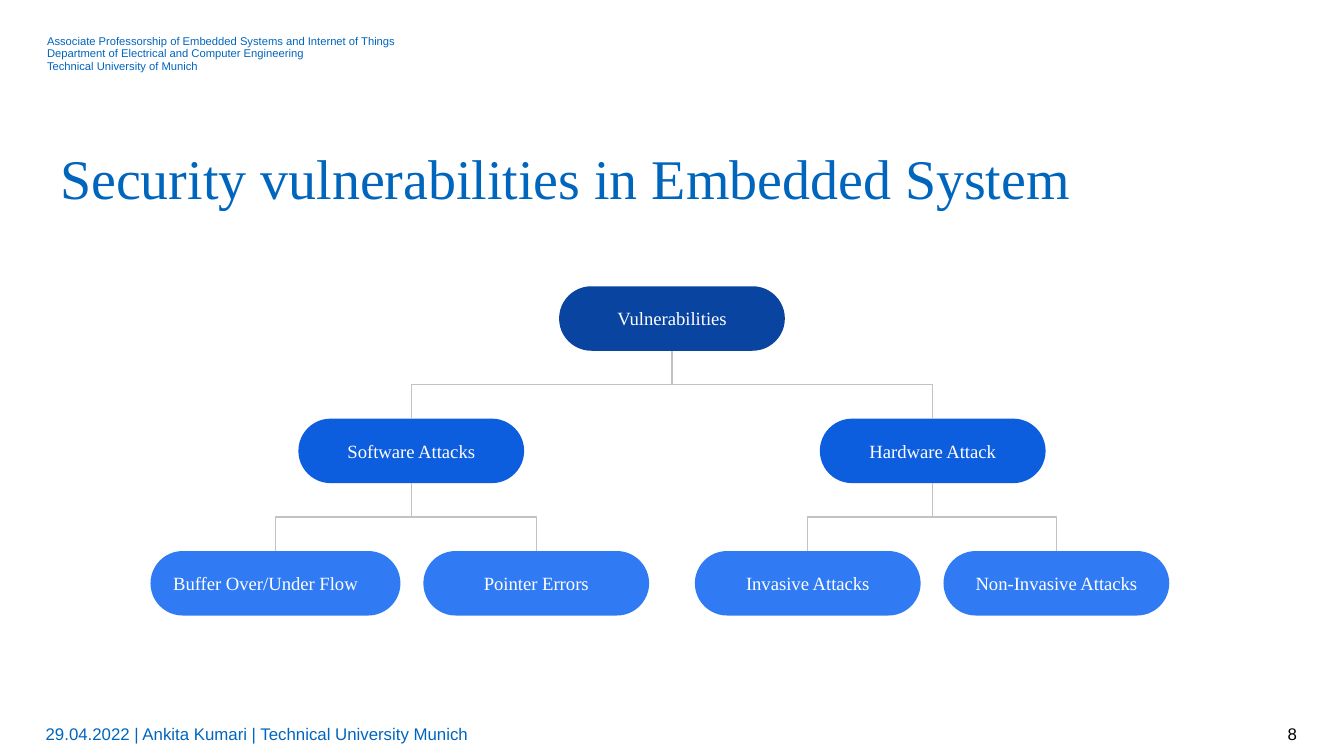
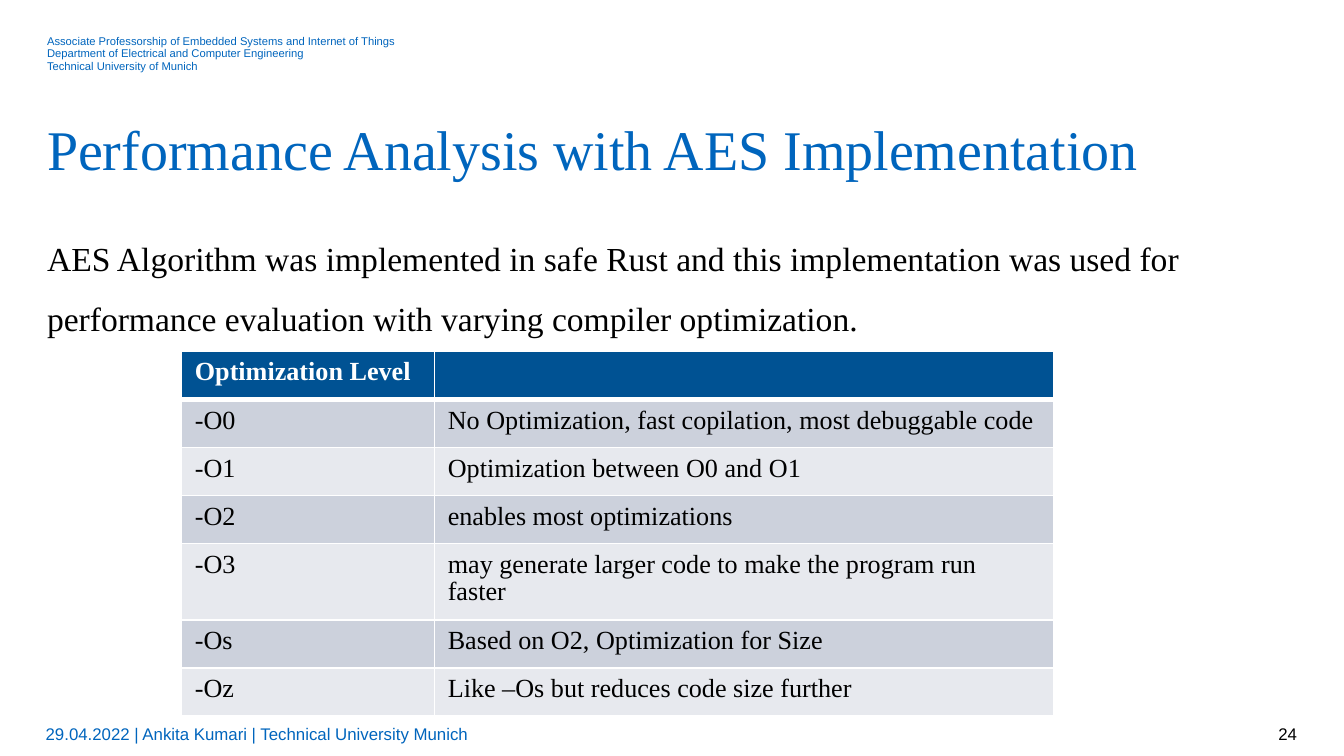
from dataclasses import dataclass

from lxml.etree import SubElement
from pptx import Presentation
from pptx.dml.color import RGBColor
from pptx.enum.shapes import MSO_CONNECTOR, MSO_SHAPE
from pptx.enum.text import MSO_ANCHOR, PP_ALIGN
from pptx.oxml.ns import qn
from pptx.util import Inches, Pt

SLIDE_WIDTH = 10
SLIDE_HEIGHT = SLIDE_WIDTH * 9 / 16


@dataclass(frozen=True)
class Theme:
    sans: str = "Arial"
    serif: str = "Times New Roman"
    accent: str = "0065BD"
    ink: str = "000000"
    white: str = "FFFFFF"
    connector: str = "C2C2C2"
    levels: tuple = ("0944A1", "0D5DDF", "307BF3")
    table_head: str = "005293"
    table_bands: tuple = ("CCD1DC", "E7E9EE")
    header_size: float = 6
    footer_size: float = 9
    node_size: float = 10
    table_size: float = 14
    body_size: float = 18
    title_size: float = 30


@dataclass(frozen=True)
class Box:
    left: float
    top: float
    width: float
    height: float

    @property
    def inches(self):
        return tuple(Inches(n) for n in (self.left, self.top, self.width, self.height))


@dataclass(frozen=True)
class Node:
    label: str
    offset: float = 0  # centre, measured from the parent's centre
    children: tuple = ()
    width: float = 1.68
    align: PP_ALIGN = PP_ALIGN.CENTER


THEME = Theme()
MARGIN = 0.35
CONTENT_WIDTH = 9.31
HEADER_BOX = Box(MARGIN, 0.26, 8.42, 0.29)
TITLE_BOX = Box(MARGIN, 0.82, CONTENT_WIDTH, 0.5)
FOOTER_BOX = Box(0.34, 5.31, CONTENT_WIDTH, 0.3)
BODY_BOX = Box(MARGIN, 1.62, CONTENT_WIDTH, 3.79)
TREE_BOX = Box(1.12, 2.13, 7.76, 2.45)
TABLE_BOX = Box(1.35, 2.61, 6.49, 2.5)

HEADER = (
    "Associate Professorship of Embedded Systems and Internet of Things",
    "Department of Electrical and Computer Engineering",
    "Technical University of Munich",
)
FOOTER = "29.04.2022 | Ankita Kumari | Technical University Munich"

VULNERABILITIES = Node("Vulnerabilities", children=(
    Node("Software Attacks", -1.94, (
        Node("Buffer Over/Under Flow", -1.01, width=1.86, align=PP_ALIGN.LEFT),
        Node("Pointer Errors", 0.93),
    )),
    Node("Hardware Attack", 1.94, (
        Node("Invasive Attacks", -0.93),
        Node("Non-Invasive Attacks", 0.92),
    )),
))

OPTIMIZATION_LEVELS = (
    ("Optimization Level", ""),
    ("-O0", "No Optimization, fast copilation, most debuggable code"),
    ("-O1", "Optimization between O0 and O1"),
    ("-O2", "enables most optimizations"),
    ("-O3", "may generate larger code to make the program run faster"),
    ("-Os", "Based on O2, Optimization for Size"),
    ("-Oz", "Like –Os but reduces code size further"),
)


def rgb(color):
    return RGBColor.from_string(color)


def write(frame, lines, font, size, color, align=PP_ALIGN.LEFT, spacing=1.0, bold=False):
    """Fill a text frame with one paragraph per line."""
    frame.word_wrap = True
    for index, line in enumerate(lines):
        paragraph = frame.add_paragraph() if index else frame.paragraphs[0]
        paragraph.alignment = align
        paragraph.line_spacing = spacing
        paragraph.font.name = font
        paragraph.font.size = Pt(size)
        paragraph.font.bold = bold
        paragraph.font.color.rgb = rgb(color)
        if line:
            paragraph.text = line
        else:  # an empty paragraph takes its height from its end mark
            end = SubElement(paragraph._p, qn("a:endParaRPr"), sz=str(size * 100))
            SubElement(end, qn("a:latin"), typeface=font)


def add_text(slide, box, lines, *style, inset=0, anchor=MSO_ANCHOR.TOP, **options):
    frame = slide.shapes.add_textbox(*box.inches).text_frame
    frame.margin_left = Inches(inset)
    frame.margin_right = frame.margin_top = frame.margin_bottom = 0
    frame.vertical_anchor = anchor
    write(frame, lines, *style, **options)


# Shared header, title and footer
def add_frame(presentation, title, number, spacing, inset=0):
    slide = presentation.slides.add_slide(presentation.slide_layouts[6])
    add_text(slide, HEADER_BOX, HEADER, THEME.sans, THEME.header_size, THEME.accent,
             spacing=0.94)
    add_text(slide, TITLE_BOX, [title], THEME.serif, THEME.title_size, THEME.accent,
             spacing=spacing, inset=inset)

    text_width = 0.76 * FOOTER_BOX.width
    text_box = Box(FOOTER_BOX.left, FOOTER_BOX.top, text_width, FOOTER_BOX.height)
    number_box = Box(FOOTER_BOX.left + text_width, FOOTER_BOX.top,
                     FOOTER_BOX.width - text_width, FOOTER_BOX.height)
    add_text(slide, text_box, [FOOTER], THEME.sans, THEME.footer_size, THEME.accent,
             anchor=MSO_ANCHOR.MIDDLE)
    add_text(slide, number_box, [str(number)], THEME.sans, THEME.footer_size, THEME.ink,
             anchor=MSO_ANCHOR.MIDDLE, align=PP_ALIGN.RIGHT)
    return slide


# Tree of rounded nodes
def add_branch(slide, parent, child):
    """Elbow from the parent's bottom to the child's top, bending halfway down."""
    start_x, start_y = parent.left + parent.width // 2, parent.top + parent.height
    end_x, end_y = child.left + child.width // 2, child.top
    connector = slide.shapes.add_connector(MSO_CONNECTOR.ELBOW, start_x, start_y, end_x, end_y)
    connector.begin_connect(parent, 2)
    connector.end_connect(child, 0)

    # A quarter turn makes the elbow leave vertically, so its sides swap
    run, drop = abs(end_x - start_x), end_y - start_y
    connector.left = (start_x + end_x - drop) // 2
    connector.top = (start_y + end_y - run) // 2
    connector.width, connector.height = drop, run
    goes_right = end_x > start_x
    transform = connector._element.spPr.xfrm
    transform.set("flipH", "1" if goes_right else "0")
    transform.set("rot", str((270 if goes_right else 90) * 60000))

    connector.line.color.rgb = rgb(THEME.connector)
    connector.line.width = Pt(0.75)
    SubElement(connector._element.spPr, qn("a:effectLst"))


def add_node(slide, box, node, centre, level=0):
    height = 0.48
    pitch = (box.height - height) / (len(THEME.levels) - 1)
    place = Box(centre - node.width / 2, box.top + level * pitch, node.width, height)
    shape = slide.shapes.add_shape(MSO_SHAPE.ROUNDED_RECTANGLE, *place.inches)
    shape.adjustments[0] = 0.5
    shape.shadow.inherit = False
    shape.fill.solid()
    shape.fill.fore_color.rgb = rgb(THEME.levels[level])
    shape.line.fill.background()
    frame = shape.text_frame
    frame.margin_left = frame.margin_right = Inches(0.1)
    frame.margin_top = frame.margin_bottom = Inches(0.1)
    frame.vertical_anchor = MSO_ANCHOR.MIDDLE
    write(frame, [node.label], THEME.serif, THEME.node_size, THEME.white, align=node.align)

    for child in node.children:
        child_shape = add_node(slide, box, child, centre + child.offset, level + 1)
        add_branch(slide, shape, child_shape)
    return shape


# Table with a dark head and banded rows
def add_borders(cell, bottom):
    properties = cell._tc.get_or_add_tcPr()
    for side, width in (("L", 1), ("R", 1), ("T", 1), ("B", bottom)):
        line = SubElement(properties, qn(f"a:ln{side}"), w=str(Pt(width)))
        fill = SubElement(line, qn("a:solidFill"))
        SubElement(fill, qn("a:srgbClr"), val=THEME.white)


def add_level_table(slide, box, rows):
    table = slide.shapes.add_table(len(rows), len(rows[0]), *box.inches).table
    for column, share in zip(table.columns, (0.29, 0.71)):
        column.width = Inches(box.width * share)
    for row_index, row in enumerate(rows):
        head = row_index == 0
        fill = THEME.table_head if head else THEME.table_bands[(row_index - 1) % 2]
        for column_index, text in enumerate(row):
            cell = table.cell(row_index, column_index)
            cell.margin_top, cell.margin_bottom = Inches(0.06), Inches(0.07)
            add_borders(cell, bottom=3 if head else 1)
            cell.fill.solid()
            cell.fill.fore_color.rgb = rgb(fill)
            write(cell.text_frame, [text], THEME.serif, THEME.table_size,
                  THEME.white if head else THEME.ink, spacing=0.94, bold=head)


def build_vulnerabilities(presentation):
    slide = add_frame(presentation, "Security vulnerabilities in Embedded System", 8,
                      spacing=1.5, inset=0.1)
    add_node(slide, TREE_BOX, VULNERABILITIES, TREE_BOX.left + TREE_BOX.width / 2)


def build_performance(presentation):
    slide = add_frame(presentation, "Performance Analysis with AES Implementation", 24,
                      spacing=1.07)
    add_text(slide, BODY_BOX,
             ["AES Algorithm was implemented in safe Rust and this implementation was used "
              "for performance evaluation with varying compiler optimization."],
             THEME.serif, THEME.body_size, THEME.ink, spacing=1.5)
    add_level_table(slide, TABLE_BOX, OPTIMIZATION_LEVELS)


def main():
    presentation = Presentation()
    presentation.slide_width = Inches(SLIDE_WIDTH)
    presentation.slide_height = Inches(SLIDE_HEIGHT)
    build_vulnerabilities(presentation)
    build_performance(presentation)
    presentation.save("out.pptx")


if __name__ == "__main__":
    main()
